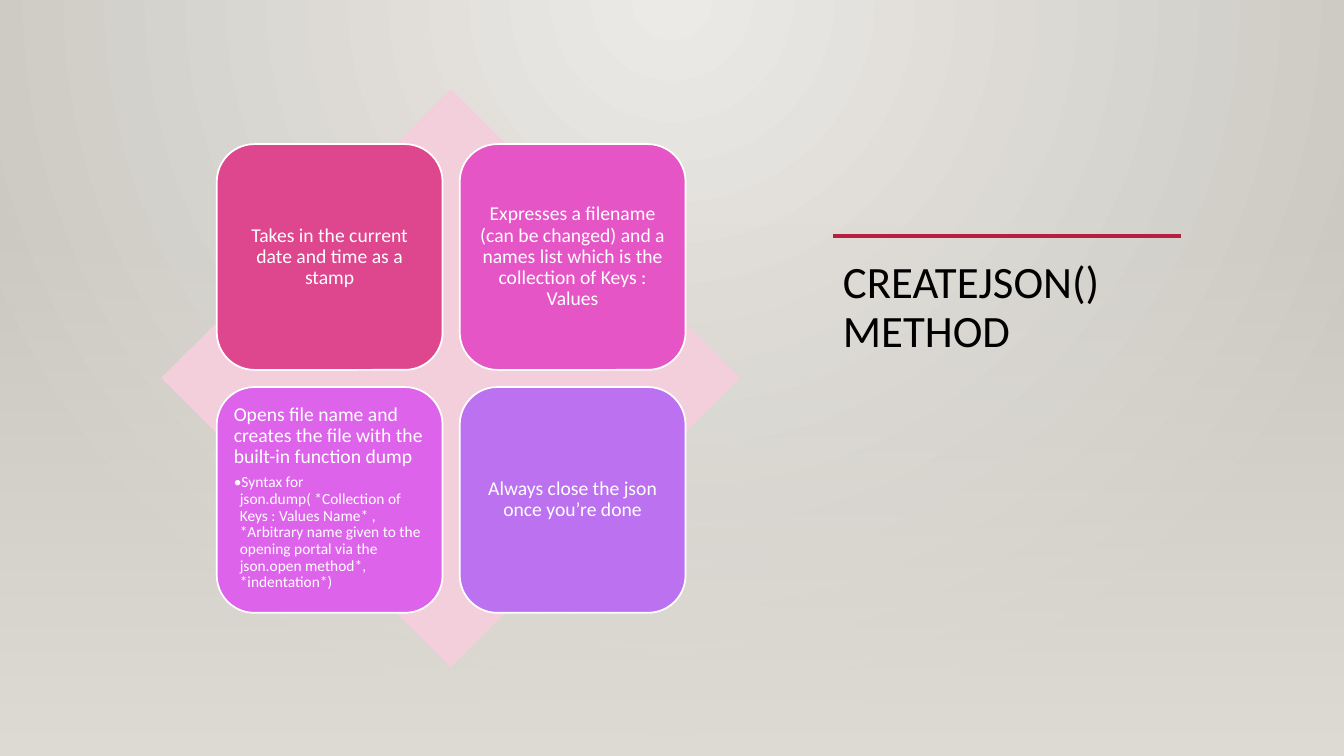
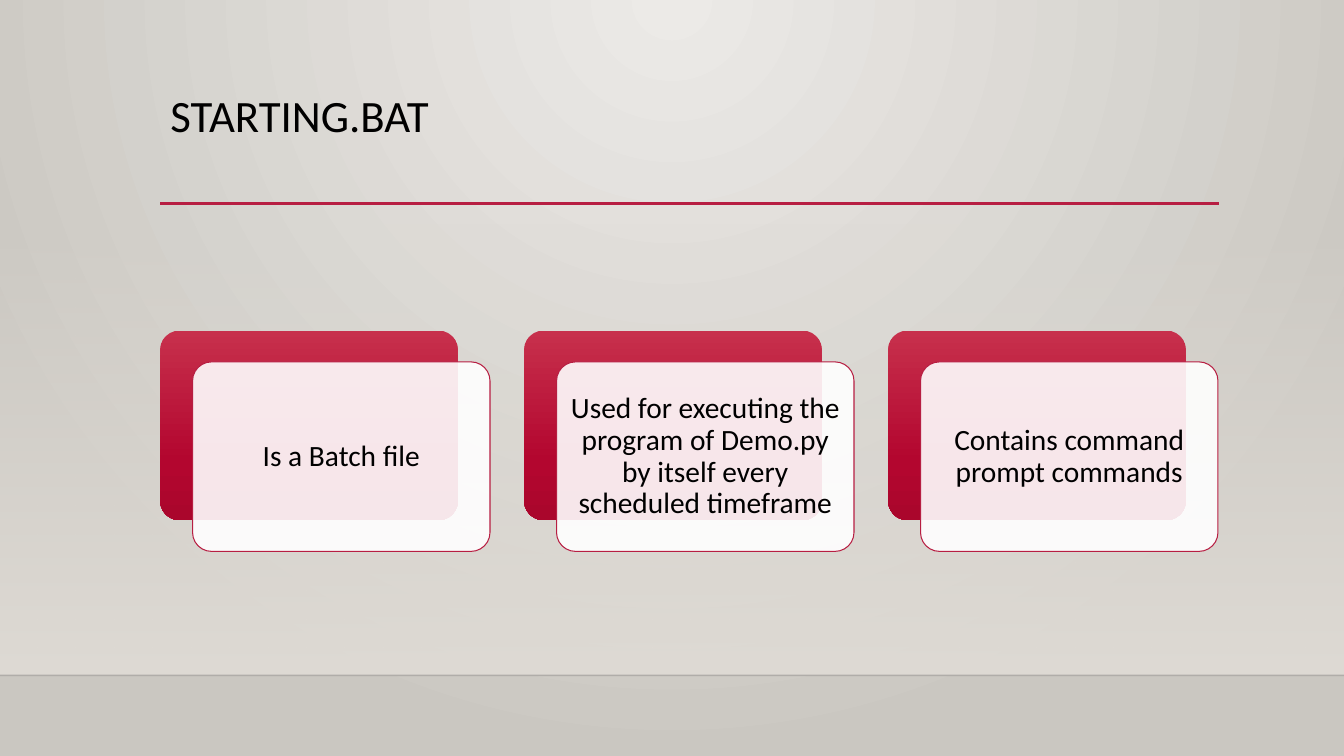
from lxml import etree
from pptx import Presentation
from pptx.dml.color import RGBColor
from pptx.enum import shapes, text
from pptx.oxml import parse_xml
from pptx.oxml.ns import nsdecls, qn
from pptx.util import Inches, Pt

FONT = "Calibri"
WIDTH, HEIGHT = 13.33, 7.5
BLACK = RGBColor(0x00, 0x00, 0x00)
WHITE = RGBColor(0xFF, 0xFF, 0xFF)
CRIMSON = RGBColor(0xB7, 0x1E, 0x42)
FLOOR_LINE = RGBColor(0x00, 0x00, 0x01)
PALE_PINK = RGBColor(0xF2, 0xCF, 0xDB)
ROSE = RGBColor(0xDE, 0x47, 0x8E)
MAGENTA = RGBColor(0xE5, 0x55, 0xC6)
ORCHID = RGBColor(0xDD, 0x63, 0xEB)
VIOLET = RGBColor(0xBC, 0x72, 0xF0)
WASH = RGBColor(0xDF, 0xDB, 0xD5)

# Gradient stops: position, colour, opacity (all in percent)
BACKDROP_STOPS = [(0, RGBColor(0xEC, 0xEA, 0xE7), 100),
                  (100, RGBColor(0xCA, 0xC7, 0xC1), 100)]
WASH_STOPS = [(0, WASH, 0), (100, WASH, 100)]
CARD_STOPS = [(0, RGBColor(0xC7, 0x30, 0x4C), 100),
              (69, RGBColor(0xB3, 0x06, 0x2F), 100),
              (100, RGBColor(0xAA, 0x06, 0x2C), 100)]

DOWNWARD = '<a:lin ang="5400000" scaled="0"/>'
FROM_TOP = ('<a:path path="circle"><a:fillToRect l="43000" t="0" r="43000" '
            'b="100000"/></a:path>')

TILES = [
    (ROSE, "Takes in the current date and time as a stamp", None),
    (MAGENTA, "Expresses a filename (can be changed) and a names list which "
              "is the collection of Keys : Values", None),
    (ORCHID, "Opens file name and creates the file with the built-in "
             "function dump",
     "Syntax for json.dump( *Collection of Keys : Values Name* , *Arbitrary "
     "name given to the opening portal via the json.open method*, "
     "*indentation*)"),
    (VIOLET, "Always close the json once you’re done", None),
]
CARDS = [
    "Is a Batch file",
    "Used for executing the program of Demo.py by itself every scheduled "
    "timeframe",
    "Contains command prompt commands",
]


def set_gradient(fill, element, stops, direction):
    """Give a fill, held by element, the stops and direction."""
    fill.gradient()
    old = element.find(".//" + qn("a:gradFill"))
    gs = "".join(
        f'<a:gs pos="{pos * 1000}"><a:srgbClr val="{color}">'
        + (f'<a:alpha val="{opacity * 1000}"/>' if opacity < 100 else "")
        + '</a:srgbClr></a:gs>'
        for pos, color, opacity in stops)
    new = parse_xml(f'<a:gradFill {nsdecls("a")} rotWithShape="1">'
                    f'<a:gsLst>{gs}</a:gsLst>{direction}</a:gradFill>')
    old.getparent().replace(old, new)


def set_opacity(fill_or_line, percent):
    """Make the solid colour of a shape's fill or line see-through."""
    color = fill_or_line.find(qn("a:solidFill"))[0]
    etree.SubElement(color, qn("a:alpha")).set("val", str(percent * 1000))


def add_shape(s, kind, left, top, width, height, color=None):
    sp = s.shapes.add_shape(kind, Inches(left), Inches(top),
                            Inches(width), Inches(height))
    sp.shadow.inherit = False
    sp.line.fill.background()
    if color is not None:
        sp.fill.solid()
        sp.fill.fore_color.rgb = color
    return sp


def add_outline(sp, color, weight):
    sp.line.color.rgb = color
    sp.line.width = Pt(weight)


def add_rule(s, left, right, top, color=CRIMSON, weight=2.5):
    rule = s.shapes.add_connector(shapes.MSO_CONNECTOR.STRAIGHT, Inches(left),
                                  Inches(top), Inches(right), Inches(top))
    add_outline(rule, color, weight)
    etree.SubElement(rule._element.spPr, qn("a:effectLst"))
    return rule


def add_wash(s, bottom):
    """Lay the fading band behind everything else on the slide."""
    top = 2.21
    wash = add_shape(s, shapes.MSO_SHAPE.RECTANGLE, 0, top, WIDTH, bottom - top)
    set_gradient(wash.fill, wash._element, WASH_STOPS, DOWNWARD)
    s.shapes._spTree.insert(2, wash._element)


def format_paragraph(p, size, color, align):
    p.alignment = align
    p.line_spacing = 0.9
    for r in p.runs:
        r.font.name = FONT
        r.font.size = Pt(size)
        r.font.color.rgb = color


def set_title(s, title, left, top, width, height):
    sp = s.shapes.title
    sp.left, sp.top = Inches(left), Inches(top)
    sp.width, sp.height = Inches(width), Inches(height)
    tf = sp.text_frame
    tf.text = title
    tf.word_wrap = True
    tf.auto_size = text.MSO_AUTO_SIZE.NONE
    tf.vertical_anchor = text.MSO_ANCHOR.TOP
    format_paragraph(tf.paragraphs[0], 32, BLACK, text.PP_ALIGN.LEFT)


def set_label(sp, label, size, color, margin, align=text.PP_ALIGN.CENTER,
              anchor=text.MSO_ANCHOR.MIDDLE):
    tf = sp.text_frame
    tf.text = label
    tf.word_wrap = True
    tf.vertical_anchor = anchor
    tf.margin_left = tf.margin_right = Inches(margin)
    tf.margin_top = tf.margin_bottom = Inches(margin)
    format_paragraph(tf.paragraphs[0], size, color, align)


def add_bullet(tf, item, size, color):
    tf.paragraphs[-1].space_after = Pt(5)
    p = tf.add_paragraph()
    p.text = item
    p.level = 1
    pPr = p._p.get_or_add_pPr()
    pPr.set("marL", str(Inches(0.06)))
    pPr.set("indent", str(-Inches(0.06)))
    etree.SubElement(pPr, qn("a:buFont")).set("typeface", FONT)
    etree.SubElement(pPr, qn("a:buChar")).set("char", "•")
    format_paragraph(p, size, color, text.PP_ALIGN.LEFT)


def add_tile(s, left, top, size, color, label, detail):
    tile = add_shape(s, shapes.MSO_SHAPE.ROUNDED_RECTANGLE,
                     left, top, size, size, color)
    add_outline(tile, WHITE, 1.25)
    if detail is None:
        set_label(tile, label, 14, WHITE, 0.06)
    else:
        set_label(tile, label, 14, WHITE, 0.06, text.PP_ALIGN.LEFT,
                  text.MSO_ANCHOR.TOP)
        add_bullet(tile.text_frame, detail, 11, WHITE)


def add_card(s, left, top, label):
    """Add a crimson card with a labelled white card offset in front."""
    width, height = 2.95, 1.88
    rounded = shapes.MSO_SHAPE.ROUNDED_RECTANGLE
    back = add_shape(s, rounded, left, top, width, height)
    set_gradient(back.fill, back._element, CARD_STOPS, DOWNWARD)
    front = add_shape(s, rounded, left + 0.32, top + 0.31,
                      width, height, WHITE)
    set_opacity(front._element.spPr, 90)
    add_outline(front, CRIMSON, 0.75)
    for sp in (back, front):
        sp.adjustments[0] = 0.1
    set_label(front, label, 21, BLACK, 0.07)


def build_json_slide(s):
    add_wash(s, HEIGHT)
    set_title(s, "CREATEJSON() METHOD", 8.26, 2.53, 3.45, 4.1)
    add_rule(s, 8.26, 11.71, 2.34)
    add_shape(s, shapes.MSO_SHAPE.DIAMOND, 1.6, 0.88, 5.74, 5.74, PALE_PINK)
    pitch = 2.41
    for i, (color, label, detail) in enumerate(TILES):
        row, col = divmod(i, 2)
        add_tile(s, 2.15 + col * pitch, 1.43 + row * pitch, 2.24,
                 color, label, detail)


def build_batch_slide(s):
    floor = 6.7
    add_wash(s, floor)
    floor_line = add_rule(s, 0, WIDTH, floor, FLOOR_LINE, 1)
    set_opacity(floor_line._element.spPr.find(qn("a:ln")), 20)
    add_rule(s, 1.59, 12.09, 2.02)
    set_title(s, "STARTING.BAT", 1.59, 0.88, 10.5, 1.15)
    for i, label in enumerate(CARDS):
        add_card(s, 1.59 + i * 3.61, 3.28, label)


def main():
    prs = Presentation()
    prs.slide_width, prs.slide_height = Inches(WIDTH), Inches(HEIGHT)
    master = prs.slide_master
    set_gradient(master.background.fill, master._element,
                 BACKDROP_STOPS, FROM_TOP)
    title_only = prs.slide_layouts[5]
    for build in (build_json_slide, build_batch_slide):
        build(prs.slides.add_slide(title_only))
    prs.save("out.pptx")


if __name__ == "__main__":
    main()
